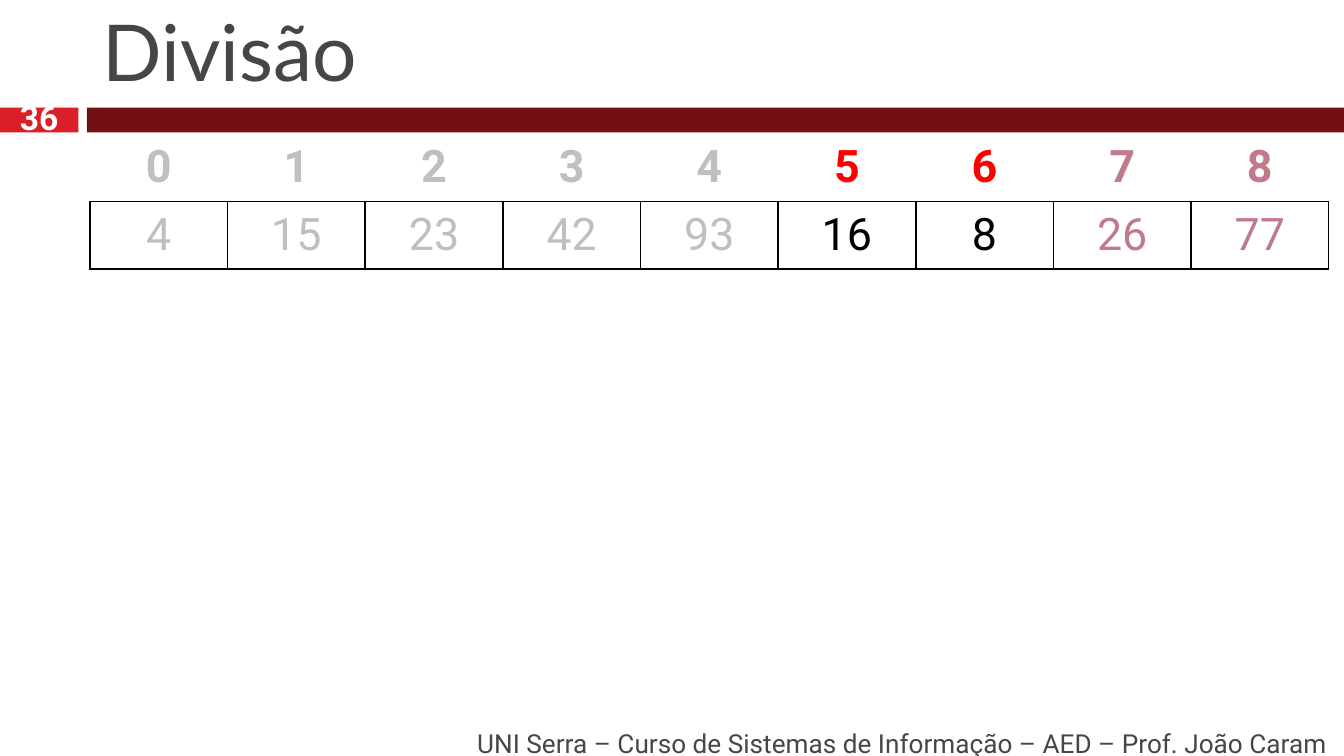
from lxml import etree
from pptx import Presentation
from pptx.dml.color import RGBColor
from pptx.enum import shapes, text
from pptx.oxml.ns import qn
from pptx.util import Pt

COLORS = {
    "accent": "DA1F28", "band": "721015", "text": "464646", "white": "FFFFFF",
    "done": "BFBFBF", "index": "FF0000", "active": "000000", "pending": "C07B8A",
}


def rgb(name):
    return RGBColor.from_string(COLORS[name])


class SlideBuilder:
    font = "Roboto"

    def __init__(self, prs):
        self.s = prs.slides.add_slide(prs.slide_layouts[6])

    def bar(self, x, y, w, h, color):
        sp = self.s.shapes.add_shape(
            shapes.MSO_SHAPE.RECTANGLE, Pt(x), Pt(y), Pt(w), Pt(h))
        sp.shadow.inherit = False
        sp.fill.solid()
        sp.fill.fore_color.rgb = rgb(color)
        sp.line.fill.background()

    def set_text(self, tf, words, size, color, align, bold=False, font=None):
        p = tf.paragraphs[0]
        p.text = words
        p.alignment = align
        p.font.name = font or self.font
        p.font.size = Pt(size)
        p.font.bold = bold
        p.font.color.rgb = rgb(color)

    def label(self, x, y, w, h, words, size, color, align,
              anchor=text.MSO_ANCHOR.MIDDLE, **style):
        tf = self.s.shapes.add_textbox(Pt(x), Pt(y), Pt(w), Pt(h)).text_frame
        tf.word_wrap = True
        tf.vertical_anchor = anchor
        self.set_text(tf, words, size, color, align, **style)

    def border(self, cell, sides):
        tcPr = cell._tc.get_or_add_tcPr()
        # Borders come before the fill in a cell's properties
        for i, side in enumerate(sides):
            ln = etree.Element(qn(f"a:ln{side}"), w=str(Pt(1)))
            fill = etree.SubElement(ln, qn("a:solidFill"))
            etree.SubElement(fill, qn("a:srgbClr"), val=COLORS["active"])
            tcPr.insert(i, ln)

    def array_table(self, x, y, w, row_h, values, index_colors, value_colors):
        n = len(values)
        tbl = self.s.shapes.add_table(
            2, n, Pt(x), Pt(y), Pt(w), Pt(2 * row_h)).table
        tbl.first_row = tbl.horz_banding = False
        for row in tbl.rows:
            row.height = Pt(row_h)
        rows = ((range(n), index_colors, True, "B"),
                (values, value_colors, False, "LRTB"))
        for r, (numbers, colors, bold, sides) in enumerate(rows):
            for c, (number, color) in enumerate(zip(numbers, colors)):
                cell = tbl.cell(r, c)
                cell.fill.background()
                self.set_text(cell.text_frame, str(number), 24, color,
                              text.PP_ALIGN.CENTER, bold)
                self.border(cell, sides)


def main():
    prs = Presentation()
    prs.slide_width, prs.slide_height = Pt(720), Pt(405)
    b = SlideBuilder(prs)

    # Header bars
    b.bar(0, 57.6, 42, 13.4, "accent")
    b.bar(46.6, 57.6, 673.4, 13.4, "band")

    # Title, footer and slide number
    b.label(48, 9.4, 664, 46, "Divisão", 42, "text", text.PP_ALIGN.LEFT,
            anchor=text.MSO_ANCHOR.BOTTOM, font="Lato")
    b.label(76.3, 387.5, 642, 21.6,
            "UNI Serra – Curso de Sistemas de Informação – AED – Prof. João Caram",
            14, "text", text.PP_ALIGN.RIGHT)
    b.label(0, 55.6, 42, 14.4, "36", 18, "white", text.PP_ALIGN.CENTER,
            bold=True)

    # Array: indices above values
    done, pending = ["done"] * 5, ["pending"] * 2
    b.array_table(48.2, 72, 663.6, 35.4, [4, 15, 23, 42, 93, 16, 8, 26, 77],
                  done + ["index"] * 2 + pending,
                  done + ["active"] * 2 + pending)

    prs.save("out.pptx")


if __name__ == "__main__":
    main()
